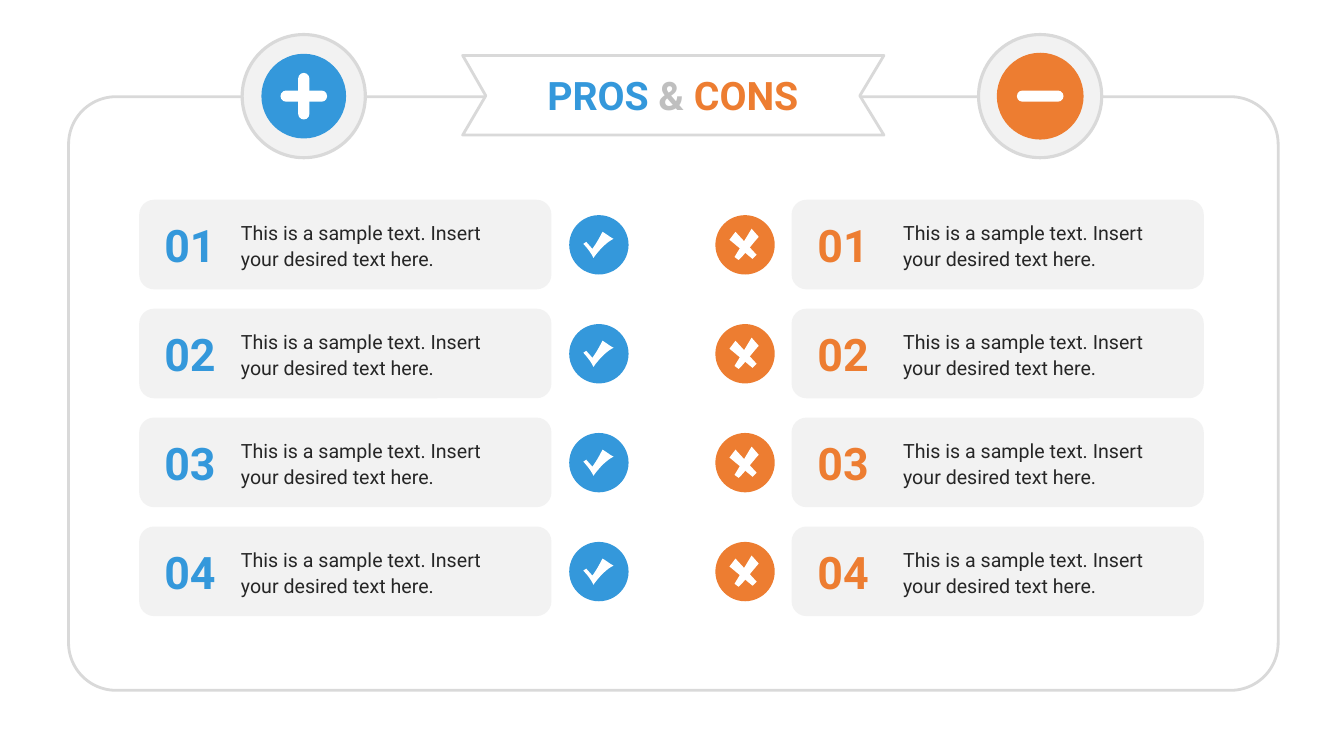
from dataclasses import dataclass
from typing import NamedTuple

from pptx import Presentation
from pptx.dml.color import RGBColor
from pptx.enum.shapes import MSO_SHAPE
from pptx.enum.text import MSO_ANCHOR, PP_ALIGN
from pptx.shapes.autoshape import Shape
from pptx.shapes.shapetree import GroupShapes, SlideShapes
from pptx.util import Pt

ROUNDED = MSO_SHAPE.ROUNDED_RECTANGLE
OVAL = MSO_SHAPE.OVAL
MIDDLE = MSO_ANCHOR.MIDDLE
LEFT = PP_ALIGN.LEFT
CENTER = PP_ALIGN.CENTER

Canvas = SlideShapes | GroupShapes
Point = tuple[float, float]


@dataclass(frozen=True)
class Theme:
    font: str = "Roboto"
    white: str = "FFFFFF"
    panel: str = "F2F2F2"
    outline: str = "D9D9D9"
    ampersand: str = "BFBFBF"
    ink: str = "262626"
    pros: str = "3498DB"
    cons: str = "ED7D31"
    title_size: float = 28
    number_size: float = 32
    body_size: float = 14


THEME = Theme()


class Area(NamedTuple):
    left: float
    top: float
    width: float
    height: float


class Span(NamedTuple):
    text: str
    size: float
    color: str
    bold: bool = False


@dataclass(frozen=True)
class Column:
    color: str
    card_left: float
    number_left: float
    body_left: float
    mark_left: float
    mark: tuple[tuple[Point, ...], ...]


@dataclass(frozen=True)
class Emblem:
    center: float
    color: str
    disc: float
    turns: tuple[float, ...]


def curve(start: Point, first: Point, second: Point, end: Point) -> tuple[Point, ...]:
    steps = 10
    points = []
    for step in range(1, steps + 1):
        t = step / steps
        u = 1 - t
        points.append(tuple(
            u**3 * a + 3 * u * u * t * b + 3 * u * t * t * c + t**3 * d
            for a, b, c, d in zip(start, first, second, end)
        ))
    return tuple(points)


CHECK = (
    (10.1, 20.5), (12.2, 19.1), (16.6, 24.1),
    *curve((16.6, 24.1), (18, 22), (20.2, 19.1), (23.8, 11.9)),
    *curve((23.8, 11.9), (27.4, 14), (28.8, 15.5), (31.7, 16.9)),
    *curve((31.7, 16.9), (25.9, 19.8), (20.9, 25.6), (17.3, 30.6)),
    *curve((17.3, 30.6), (15.8, 27), (12.2, 22.7), (10.1, 20.5)),
)
CROSS_DOWN = ((10.1, 17.6), (14.4, 11.9), (29.5, 28.4), (26.6, 31.3))
CROSS_UP = (
    (31, 15.5), (25.9, 9.7), (13.7, 29.9), (16.6, 32),
    *curve((16.6, 32), (19.4, 29.9), (25.9, 21.2), (31, 15.5)),
)
RIBBON = ((330.5, 39.6), (631.4, 39.6), (614.2, 68.4),
          (631.4, 96.5), (330.5, 96.5), (347, 68.4))

COLUMNS = (
    Column(THEME.pros, 99.4, 114.5, 172.1, 406.6, (CHECK,)),
    Column(THEME.cons, 565.4, 581, 645.1, 511, (CROSS_DOWN, CROSS_UP)),
)
EMBLEMS = (
    Emblem(743, THEME.cons, 62, (0,)),
    Emblem(217, THEME.pros, 60.5, (0, 90)),
)
BODY = "This is a sample text. Insert your desired text here."
ROW_COUNT = 4
ROW_TOP = 142.7
ROW_PITCH = 77.8
EMBLEM_MIDDLE = 68.7


def paint(shape: Shape, fill: str, line_width: float = 0) -> None:
    shape.shadow.inherit = False
    shape.fill.solid()
    shape.fill.fore_color.rgb = RGBColor.from_string(fill)
    if line_width:
        shape.line.color.rgb = RGBColor.from_string(THEME.outline)
        shape.line.width = Pt(line_width)
    else:
        shape.line.fill.background()


def add_preset(canvas: Canvas, kind: MSO_SHAPE, area: Area, fill: str,
               line_width: float = 0) -> Shape:
    shape = canvas.add_shape(kind, *map(Pt, area))
    paint(shape, fill, line_width)
    return shape


def add_outline(canvas: Canvas, points: tuple[Point, ...], fill: str,
                left: float = 0, top: float = 0, line_width: float = 0) -> None:
    corners = [(Pt(left + x), Pt(top + y)) for x, y in points]
    builder = canvas.build_freeform(*corners[0])
    builder.add_line_segments(corners[1:], close=True)
    paint(builder.convert_to_shape(), fill, line_width)


def add_text(canvas: Canvas, area: Area, spans: tuple[Span, ...],
             alignment: PP_ALIGN = CENTER, line_spacing: float = 1.0) -> None:
    frame = canvas.add_textbox(*map(Pt, area)).text_frame
    frame_format = {"word_wrap": True, "vertical_anchor": MIDDLE, "margin_left": 0,
                    "margin_top": 0, "margin_right": 0, "margin_bottom": 0}
    for name, value in frame_format.items():
        setattr(frame, name, value)
    para = frame.paragraphs[0]
    para.alignment = alignment
    para.line_spacing = line_spacing
    for span in spans:
        run = para.add_run()
        run.text = span.text
        font_format = {"name": THEME.font, "size": Pt(span.size), "bold": span.bold}
        for name, value in font_format.items():
            setattr(run.font, name, value)
        run.font.color.rgb = RGBColor.from_string(span.color)


def centered(center: float, middle: float, width: float, height: float) -> Area:
    return Area(center - width / 2, middle - height / 2, width, height)


def add_emblem(canvas: Canvas, emblem: Emblem) -> None:
    group = canvas.add_group_shape().shapes
    for size, fill, line_width in ((88, THEME.panel, 2.25), (emblem.disc, emblem.color, 0)):
        area = centered(emblem.center, EMBLEM_MIDDLE, size, size)
        add_preset(group, OVAL, area, fill, line_width)
    for turn in emblem.turns:
        bar = add_preset(group, ROUNDED, centered(emblem.center, EMBLEM_MIDDLE, 33.3, 8),
                         THEME.white)
        bar.adjustments[0] = 0.5
        bar.rotation = turn


def add_row(canvas: Canvas, column: Column, index: int) -> None:
    top = ROW_TOP + index * ROW_PITCH
    add_preset(canvas, ROUNDED, Area(column.card_left, top, 294.5, 64), THEME.panel)
    badge = canvas.add_group_shape().shapes
    badge_top = top + 11
    add_preset(badge, OVAL, Area(column.mark_left, badge_top, 42.4, 42.4), column.color)
    for points in column.mark:
        add_outline(badge, points, THEME.white, column.mark_left, badge_top)
    add_text(canvas, Area(column.body_left, top + 15, 194.4, 34),
             (Span(BODY, THEME.body_size, THEME.ink),), LEFT, 1.1)
    add_text(canvas, Area(column.number_left, top + 14.3, 42.5, 36),
             (Span(f"{index + 1:02}", THEME.number_size, column.color, True),))


def main() -> None:
    deck = Presentation()
    deck.slide_width, deck.slide_height = Pt(960), Pt(540)
    page = deck.slides.add_slide(deck.slide_layouts[6])
    canvas = page.shapes
    border = add_preset(canvas, ROUNDED, Area(49, 69.1, 864, 424), THEME.white, 2)
    border.adjustments[0] = 0.08
    add_outline(canvas, RIBBON, THEME.white, line_width=2)
    title = (("PROS ", THEME.pros), ("& ", THEME.ampersand), ("CONS", THEME.cons))
    add_text(canvas, Area(370.8, 49.9, 219.6, 36),
             tuple(Span(text, THEME.title_size, color, True) for text, color in title))
    for emblem in EMBLEMS:
        add_emblem(canvas, emblem)
    for column in COLUMNS:
        for index in range(ROW_COUNT):
            add_row(canvas, column, index)
    deck.save("out.pptx")


if __name__ == "__main__":
    main()
